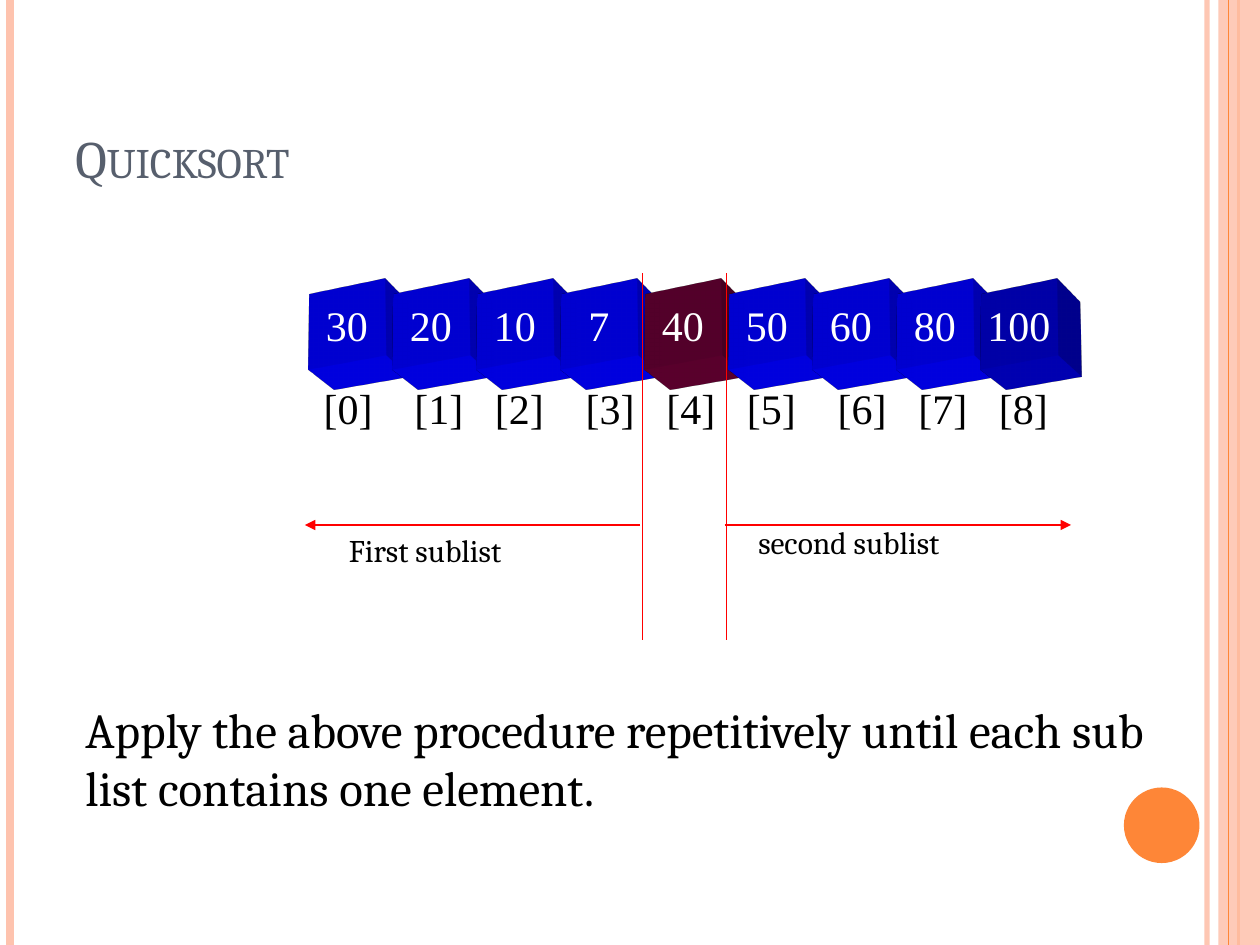
from dataclasses import dataclass
from itertools import accumulate

from lxml import etree
from pptx import Presentation
from pptx import util as u
from pptx.dml.color import RGBColor
from pptx.enum import shapes, text
from pptx.oxml.ns import qn


@dataclass(frozen=True)
class Theme:
    peach: str = "FEC3AE"
    orange: str = "FE8637"
    slate: str = "575F6D"
    black: str = "000000"
    white: str = "FFFFFF"
    red: str = "FF0000"
    cube: str = "0000FF"
    pivot_cube: str = "660033"
    last_cube: str = "0000CC"
    body_font: str = "Cambria"
    number_font: str = "Times New Roman"
    title_size: int = 30
    body_size: int = 28
    number_size: int = 24
    label_size: int = 18


def write_text(frame, words, font, size, color, align=text.PP_ALIGN.LEFT,
               anchor=text.MSO_ANCHOR.TOP, wrap=True, small_caps=False, tabs=()):
    frame.word_wrap = wrap
    frame.vertical_anchor = anchor
    para = frame.paragraphs[0]
    para.alignment = align
    if tabs:
        tab_list = etree.SubElement(para._p.get_or_add_pPr(), qn("a:tabLst"))
        for stop in tabs:
            etree.SubElement(tab_list, qn("a:tab"), pos=str(u.Inches(stop)), algn="l")
    span = para.add_run()
    span.text = words
    span.font.name = font
    span.font.size = u.Pt(size)
    span.font.color.rgb = RGBColor.from_string(color)
    if small_caps:
        span._r.get_or_add_rPr().set("cap", "small")


def set_opacity(item, percent):
    for color in item._element.spPr.iter(qn("a:srgbClr")):
        etree.SubElement(color, qn("a:alpha"), val=str(percent * 1000))


def extrude(shape, color):
    properties = shape._element.spPr
    scene = etree.SubElement(properties, qn("a:scene3d"))
    camera = etree.SubElement(scene, qn("a:camera"), prst="legacyPerspectiveFront")
    etree.SubElement(camera, qn("a:rot"), lat="20099999", lon="1500000", rev="0")
    etree.SubElement(scene, qn("a:lightRig"), rig="legacyFlat3", dir="r")
    solid = etree.SubElement(properties, qn("a:sp3d"), extrusionH="430200",
                             prstMaterial="legacyMatte")
    for bevel in ("a:bevelT", "a:bevelB"):
        etree.SubElement(solid, qn(bevel), w="13500", h="13500", prst="angle")
    side = etree.SubElement(solid, qn("a:extrusionClr"))
    etree.SubElement(side, qn("a:srgbClr"), val=color)


class SlideArtist:
    def __init__(self, page, theme):
        self.page = page
        self.theme = theme

    def shape(self, kind, left, top, width, height, color):
        shape = self.page.shapes.add_shape(
            kind, *(u.Inches(value) for value in (left, top, width, height)))
        shape.shadow.inherit = False
        shape.fill.solid()
        shape.fill.fore_color.rgb = RGBColor.from_string(color)
        shape.line.fill.background()
        return shape

    def line(self, x1, y1, x2, y2, color, width=0.75, arrow=False):
        line = self.page.shapes.add_connector(
            shapes.MSO_CONNECTOR.STRAIGHT,
            *(u.Inches(value) for value in (x1, y1, x2, y2)))
        line.line.color.rgb = RGBColor.from_string(color)
        line.line.width = u.Pt(width)
        if arrow:
            etree.SubElement(line.line._get_or_add_ln(), qn("a:tailEnd"), type="triangle")
        etree.SubElement(line._element.spPr, qn("a:effectLst"))
        return line

    def text(self, left, top, width, height, words, **format):
        box = self.page.shapes.add_textbox(
            *(u.Inches(value) for value in (left, top, width, height)))
        write_text(box.text_frame, words, **format)

    def cube(self, left, top, side, words, color):
        cube = self.shape(shapes.MSO_SHAPE.RECTANGLE, left, top, side, side, color)
        extrude(cube, color)
        write_text(cube.text_frame, words, self.theme.number_font, self.theme.number_size,
                   self.theme.white, align=text.PP_ALIGN.CENTER,
                   anchor=text.MSO_ANCHOR.MIDDLE, wrap=False)


def draw_frame(artist):
    theme = artist.theme
    kinds = shapes.MSO_SHAPE
    set_opacity(artist.line(9.58, 0, 9.58, 7.5, theme.peach, 3), 93)
    artist.line(0.08, 0, 0.08, 7.5, theme.peach, 4.5)
    artist.line(9.83, 0, 9.83, 7.5, theme.orange, 1.5)
    set_opacity(artist.shape(kinds.RECTANGLE, 9.67, 0, 0.33, 7.5, theme.peach), 87)
    artist.line(9.75, 0, 9.75, 7.5, theme.orange)
    artist.shape(kinds.OVAL, 8.92, 6.25, 0.6, 0.6, theme.orange)


def draw_array(artist, side):
    theme = artist.theme
    values = [30, 20, 10, 7, 40, 50, 60, 80, 100]
    special = {40: theme.pivot_cube, 100: theme.last_cube}
    for index, value in enumerate(values):
        artist.cube(2.42 + index * side, 2.24, side, str(value),
                    special.get(value, theme.cube))
    narrow, wide = 0.64, 0.72
    steps = [wide, narrow, wide, narrow, narrow, wide, narrow, narrow]
    artist.text(2.47, 2.99, 5.95, 0.5,
                "\t".join(f"[{index}]" for index in range(len(values))),
                font=theme.number_font, size=theme.number_size, color=theme.black,
                wrap=False, tabs=list(accumulate(steps)))


def draw_sublists(artist, side):
    theme = artist.theme
    for x in (5.1, 5.1 + side):
        artist.line(x, 2.17, x, 5.08, theme.red)
    arrow_top = 3.5 + side
    for start, end in ((5.75, 8.5), (5.08, 2.42)):
        artist.line(start, arrow_top, end, arrow_top, theme.red, arrow=True)
    for left, top, words in ((2.67, arrow_top, "First sublist"),
                             (5.92, 4.1, "second sublist")):
        artist.text(left, top, 2.33, 0.4, words, font=theme.body_font,
                    size=theme.label_size, color=theme.black)


def main():
    deck = Presentation()
    deck.slide_width, deck.slide_height = u.Inches(10), u.Inches(7.5)
    page = deck.slides.add_slide(deck.slide_layouts[6])
    theme = Theme()
    artist = SlideArtist(page, theme)
    cube_side = 2 / 3
    draw_frame(artist)
    artist.text(0.5, 0.3, 8.17, 1.25, "Quicksort", font=theme.body_font,
                size=theme.title_size, color=theme.slate,
                anchor=text.MSO_ANCHOR.BOTTOM, small_caps=True)
    draw_array(artist, cube_side)
    draw_sublists(artist, cube_side)
    artist.text(0.58, 5.5, 9.08, 1.04,
                "Apply the above procedure repetitively until each sub list "
                "contains one element.",
                font=theme.body_font, size=theme.body_size, color=theme.black)
    deck.save("out.pptx")


if __name__ == "__main__":
    main()
